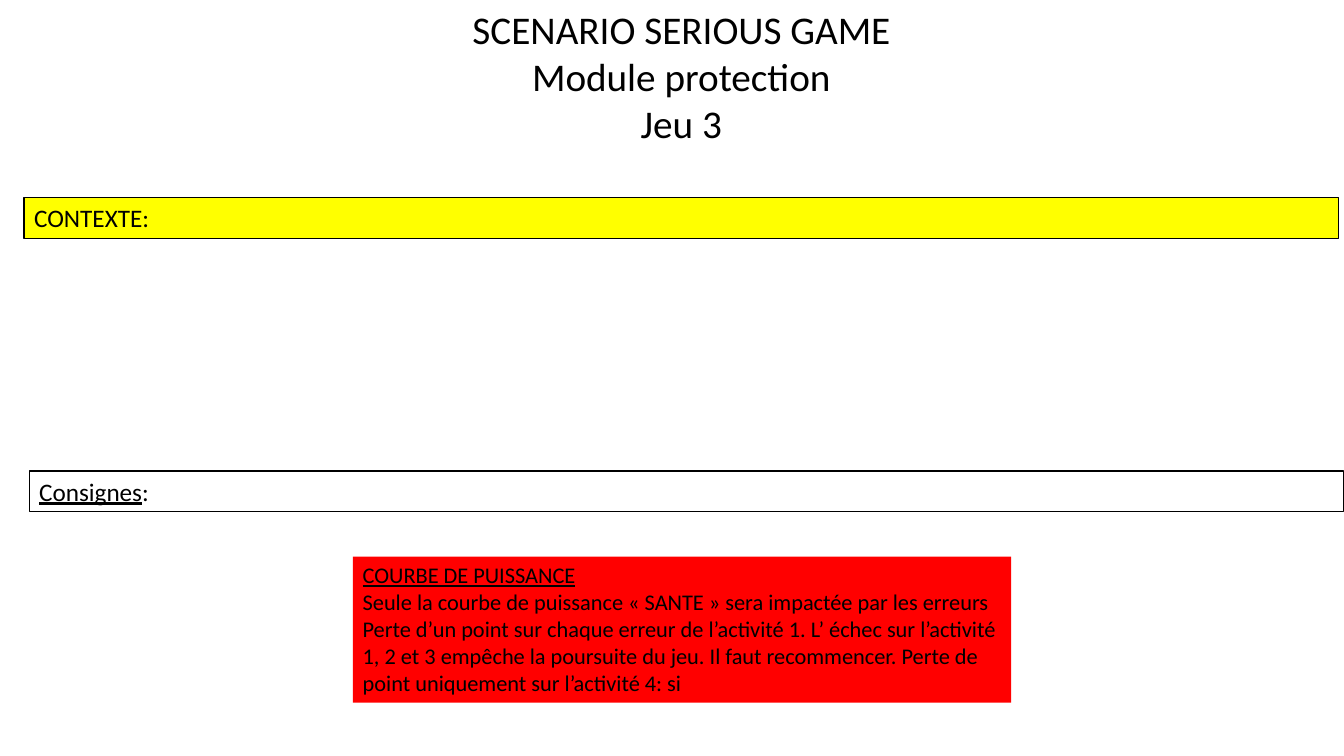
from pptx import Presentation
from pptx.dml.color import RGBColor
from pptx.enum.shapes import MSO_SHAPE
from pptx.enum.text import MSO_ANCHOR, MSO_AUTO_SIZE, PP_ALIGN
from pptx.util import Pt

COLORS = {"ink": "000000", "context": "FFFF00", "power": "FF0000", "paper": "FFFFFF"}
FONT = "Calibri"
BAR_WIDTH, BAR_HEIGHT = 938.9, 29.1


def color(name):
    """Return the named colour."""
    return RGBColor.from_string(COLORS[name])


def write(frame, paragraphs, size, align):
    """Fill a text frame with paragraphs made of (text, underlined) runs."""
    frame.word_wrap = True
    frame.auto_size = MSO_AUTO_SIZE.NONE
    frame.vertical_anchor = MSO_ANCHOR.TOP
    for index, runs in enumerate(paragraphs):
        para = frame.add_paragraph() if index else frame.paragraphs[0]
        para.alignment = align
        for text, underlined in runs:
            span = para.add_run()
            span.text = text
            span.font.name = FONT
            span.font.size = Pt(size)
            span.font.underline = underlined
            span.font.color.rgb = color("ink")


def add_heading(page, box, lines):
    """Place the centred slide title in the box."""
    title = page.shapes.title
    title.left, title.top, title.width, title.height = map(Pt, box)
    write(title.text_frame, [[(line, False)] for line in lines], 28, PP_ALIGN.CENTER)


def add_panel(page, box, fill, paragraphs, size, outlined):
    """Place a filled rectangle with left-aligned text in the box."""
    panel = page.shapes.add_shape(MSO_SHAPE.RECTANGLE, *map(Pt, box))
    panel.shadow.inherit = False
    panel.fill.solid()
    panel.fill.fore_color.rgb = color(fill)
    if outlined:
        panel.line.color.rgb = color("ink")
        panel.line.width = Pt(1)
    else:
        panel.line.fill.background()
    write(panel.text_frame, paragraphs, size, PP_ALIGN.LEFT)


def build_scenario(deck):
    """Add the game scenario slide."""
    page = deck.slides.add_slide(deck.slide_layouts[5])
    add_heading(page, (223.2, 0, 527, 108.7),
                ["SCENARIO SERIOUS GAME", "Module protection", "Jeu 3"])
    add_panel(page, (17.3, 141.1, BAR_WIDTH, BAR_HEIGHT), "context",
              [[("CONTEXTE:", False)]], 18, True)
    add_panel(page, (252, 397.6, 470.2, 104.4), "power", [
        [("COURBE DE PUISSANCE", True)],
        [("Seule la courbe de puissance «\u00a0SANTE\u00a0» sera impactée par les erreurs", False)],
        [("Perte d’un point sur chaque erreur de l’activité 1. L’ échec sur l’activité 1, 2 et 3 "
          "empêche la poursuite du jeu. Il faut recommencer. Perte de point uniquement sur "
          "l’activité 4: si ", False)],
    ], 16, False)
    add_panel(page, (20.9, 336.4, BAR_WIDTH, BAR_HEIGHT), "paper",
              [[("Consignes", True), (":", False)]], 18, True)


deck = Presentation()
deck.slide_width, deck.slide_height = Pt(960), Pt(540)
build_scenario(deck)
deck.save("out.pptx")
